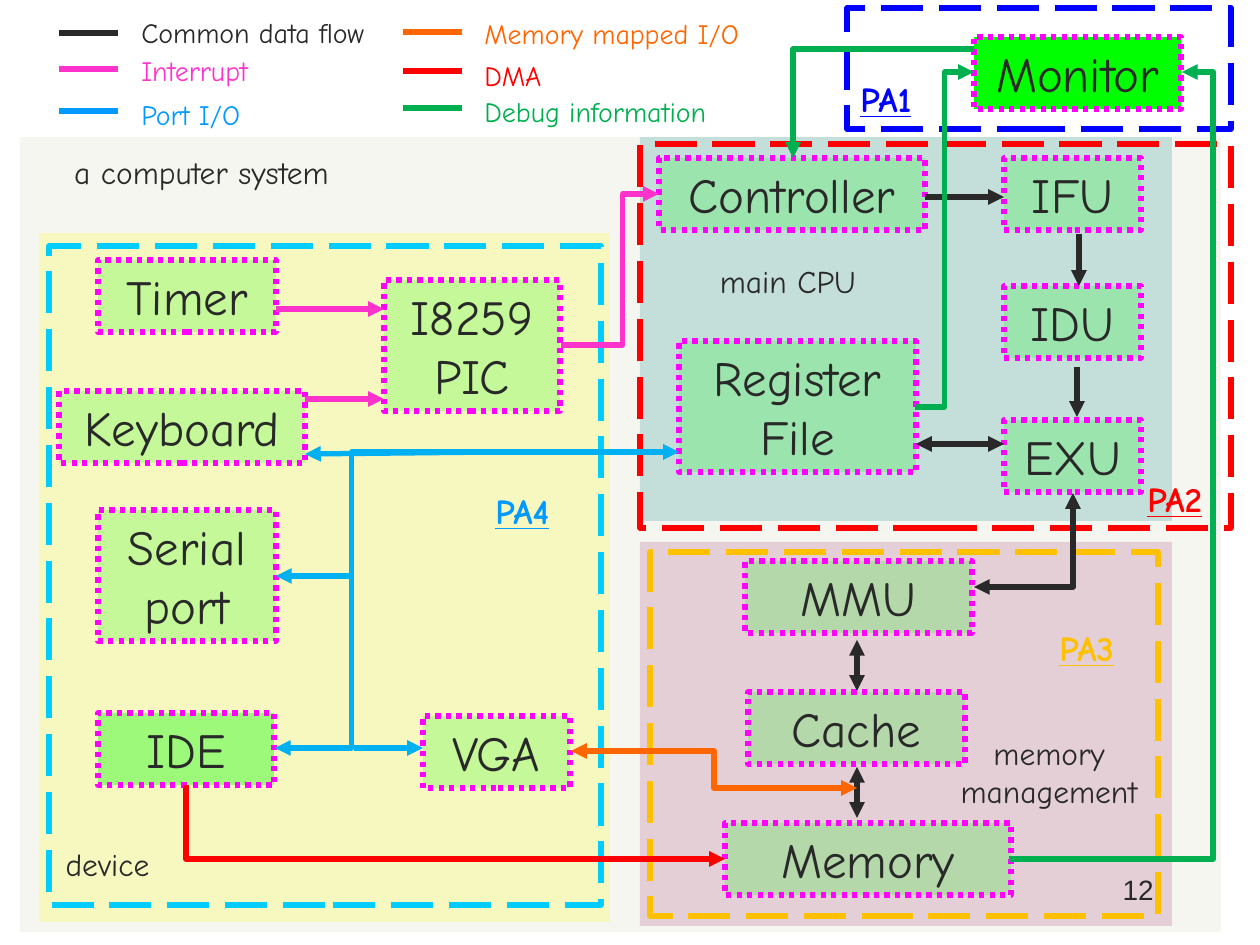
from lxml.etree import SubElement
from pptx import Presentation
from pptx.dml.color import RGBColor
from pptx.enum.dml import MSO_LINE
from pptx.enum.shapes import MSO_CONNECTOR, MSO_SHAPE
from pptx.enum.text import PP_ALIGN
from pptx.oxml.ns import qn
from pptx.util import Emu, Pt

PX = 914400 / 126
UNIT_H = 72  # one-line unit
TALL_H = 131  # two-line unit
C = {
    "ink": "292929", "pink": "FF33CC", "port": "0099FF", "orange": "FF6600",
    "red": "FF0000", "debug": "00B050", "bus": "00B0F0", "unit": "00FF00",
    "unit_line": "FF00FF", "system": "D5D5B9", "cpu": "008080",
    "memory": "993366", "device": "FFFF00", "pa1": "0000FF",
    "pa3": "FFC000", "pa4": "00CCFF",
}


def px(n):
    return Emu(round(n * PX))


def rgb(name):
    return RGBColor.from_string(C[name])


def write(sp, text, size=18, color="ink", font="Comic Neue",
          align=PP_ALIGN.CENTER, mark=False):
    tf = sp.text_frame
    tf.word_wrap = True
    p = tf.paragraphs[0]
    p.alignment = align
    r = p.add_run()
    r.text = text
    r.font.size, r.font.name = Pt(size), font
    r.font.color.rgb = rgb(color)
    if mark:
        r.font.bold = r.font.underline = True


def label(s, x, y, w, h, text, **fmt):
    write(s.shapes.add_textbox(px(x), px(y), px(w), px(h)), text, **fmt)


def rect(s, x, y, w, h, fill=None, alpha=20, line=None, dash=None):
    sp = s.shapes.add_shape(MSO_SHAPE.RECTANGLE, px(x), px(y), px(w), px(h))
    sp.shadow.inherit = False
    if fill:
        sp.fill.solid()
        sp.fill.fore_color.rgb = rgb(fill)
        clr = sp._element.spPr.find(".//" + qn("a:srgbClr"))
        SubElement(clr, qn("a:alpha"), val=str(alpha * 1000))
    else:
        sp.fill.background()
    if line:
        sp.line.color.rgb = rgb(line)
        sp.line.width = Pt(3)
        sp.line.dash_style = dash
    else:
        sp.line.fill.background()
    return sp


def unit(s, x, y, w, text, h=UNIT_H, alpha=20):
    sp = rect(s, x, y, w, h, "unit", alpha, "unit_line", MSO_LINE.ROUND_DOT)
    sp.text_frame.vertical_anchor = 1  # top
    write(sp, text, size=28)


def frame(s, x, y, w, h, color):
    rect(s, x, y, w, h, line=color, dash=MSO_LINE.LONG_DASH)


def task(s, x, y, text, color):
    label(s, x, y, 110, 55, text, size=20, color=color,
          align=PP_ALIGN.LEFT, mark=True)


def wire(s, x1, y1, x2, y2, color="ink", ends="tail", adj=None, corner=False):
    """Straight wire; adj makes a three-part elbow, corner a two-part one."""
    kind = MSO_CONNECTOR.STRAIGHT if adj is None and not corner else MSO_CONNECTOR.ELBOW
    cn = s.shapes.add_connector(kind, px(x1), px(y1), px(x2), px(y2))
    cn.line.color.rgb = rgb(color)
    cn.line.width = Pt(3)
    spPr = cn._element.spPr
    geom = spPr.find(qn("a:prstGeom"))
    if corner:
        geom.set("prst", "bentConnector2")
    elif adj is not None:
        av = geom.find(qn("a:avLst"))
        if av is None:
            av = SubElement(geom, qn("a:avLst"))
        SubElement(av, qn("a:gd"), name="adj1", fmla=f"val {round(adj * 100000)}")
    ln = spPr.find(qn("a:ln"))
    for end in ("head", "tail"):
        if end in ends:
            SubElement(ln, qn(f"a:{end}End"), type="triangle")
    SubElement(spPr, qn("a:effectLst"))


def legend(s, x, y):
    columns = [
        (0, 70, [("Common data flow", "ink", 24, 0), ("Interrupt", "pink", 60, 38),
                 ("Port I/O", "port", 102, 82)]),
        (344, 413, [("Memory mapped I/O", "orange", 23, 1), ("DMA", "red", 62, 43),
                    ("Debug information", "debug", 99, 79)]),
    ]
    for line_x, text_x, rows in columns:
        for text, color, line_y, text_y in rows:
            wire(s, x + line_x, y + line_y, x + line_x + 59, y + line_y, color, ends="")
            label(s, x + text_x, y + text_y, 305, 47, text, size=16, color=color,
                  align=PP_ALIGN.LEFT)


def system(s, x, y):
    rect(s, x, y, 1201, 795, "system")
    label(s, x + 19, y + 10, 325, 50, "a computer system")


def monitor(s, x, y):
    frame(s, x, y, 384, 121, "pa1")
    unit(s, x + 127, y + 29, 207, "Monitor", alpha=100)
    task(s, x + 1, y + 63, "PA1", "pa1")


def cpu(s, x, y):
    rect(s, x, y, 532, 384, "cpu")
    unit(s, x + 19, y + 21, 266, "Controller")
    unit(s, x + 39, y + 204, 237, "Register File", h=TALL_H)
    for dy, text in ((21, "IFU"), (149, "IDU"), (283, "EXU")):
        unit(s, x + 364, y + dy, 137, text)
    label(s, x + 59, y + 119, 178, 50, "main CPU")
    frame(s, x, y + 7, 591, 384, "red")
    task(s, x + 495, y + 334, "PA2", "red")
    wire(s, x + 285, y + 60, x + 364, y + 60)
    wire(s, x + 276, y + 307, x + 364, y + 307, ends="head tail")
    wire(s, x + 439, y + 97, x + 439, y + 149)
    wire(s, x + 437, y + 230, x + 437, y + 280)


def memory(s, x, y):
    rect(s, x, y, 532, 384, "memory")
    for i, (dx, w, text) in enumerate(
            [(105, 227, "MMU"), (108, 217, "Cache"), (85, 286, "Memory")]):
        unit(s, x + dx, y + 19 + i * 131, w, text)
    label(s, x + 305, y + 186, 208, 88, "memory management")
    frame(s, x + 10, y + 10, 508, 364, "pa3")
    task(s, x + 407, y + 78, "PA3", "pa3")
    for dy in (98, 225):
        wire(s, x + 217, y + dy, x + 217, y + dy + 51, ends="head tail")


def device(s, x, y):
    rect(s, x, y, 571, 689, "device")
    unit(s, x + 59, y + 27, 178, "Timer")
    unit(s, x + 345, y + 47, 176, "I8259 PIC", h=TALL_H)
    unit(s, x + 20, y + 158, 246, "Keyboard")
    unit(s, x + 59, y + 277, 178, "Serial port", h=TALL_H)
    unit(s, x + 59, y + 480, 176, "IDE", alpha=36)
    unit(s, x + 384, y + 483, 147, "VGA")
    label(s, x, y + 606, 137, 50, "device")
    frame(s, x + 10, y + 13, 552, 659, "pa4")
    task(s, x + 444, y + 250, "PA4", "port")
    # Interrupt lines into the PIC
    wire(s, x + 237, y + 76, x + 345, y + 76, "pink")
    wire(s, x + 266, y + 166, x + 345, y + 166, "pink")
    # Branches of the port bus
    wire(s, x + 266, y + 221, x + 464, y + 219, "bus", "head")
    wire(s, x + 237, y + 343, x + 315, y + 343, "bus", "head")
    wire(s, x + 384, y + 515, x + 315, y + 515, "bus", "head")


def links(s):
    """Wires that run from one region to another."""
    wire(s, 974, 587, 1073, 493, ends="head tail", corner=True)
    wire(s, 275, 748, 679, 452, "bus", "head tail", adj=0.19)
    wire(s, 561, 345, 659, 194, "pink", adj=0.63)
    wire(s, 974, 72, 915, 407, "debug", "head", adj=0.5)
    wire(s, 1182, 72, 1009, 859, "debug", "head", adj=-0.18)
    wire(s, 974, 49, 793, 158, "debug", corner=True)
    wire(s, 571, 751, 857, 788, "orange", "head tail", adj=0.5)
    wire(s, 725, 859, 186, 785, "red", "head", corner=True)


def main():
    prs = Presentation()
    prs.slide_width, prs.slide_height = px(1260), px(945)
    s = prs.slides.add_slide(prs.slide_layouts[6])
    system(s, 20, 137)
    cpu(s, 640, 137)
    memory(s, 640, 542)
    device(s, 39, 233)
    monitor(s, 847, 8)
    links(s)
    legend(s, 59, 9)
    # Page number
    label(s, 1037, 866, 129, 63, "12", size=16, font="Arial", align=PP_ALIGN.RIGHT)
    prs.save("out.pptx")


if __name__ == "__main__":
    main()
